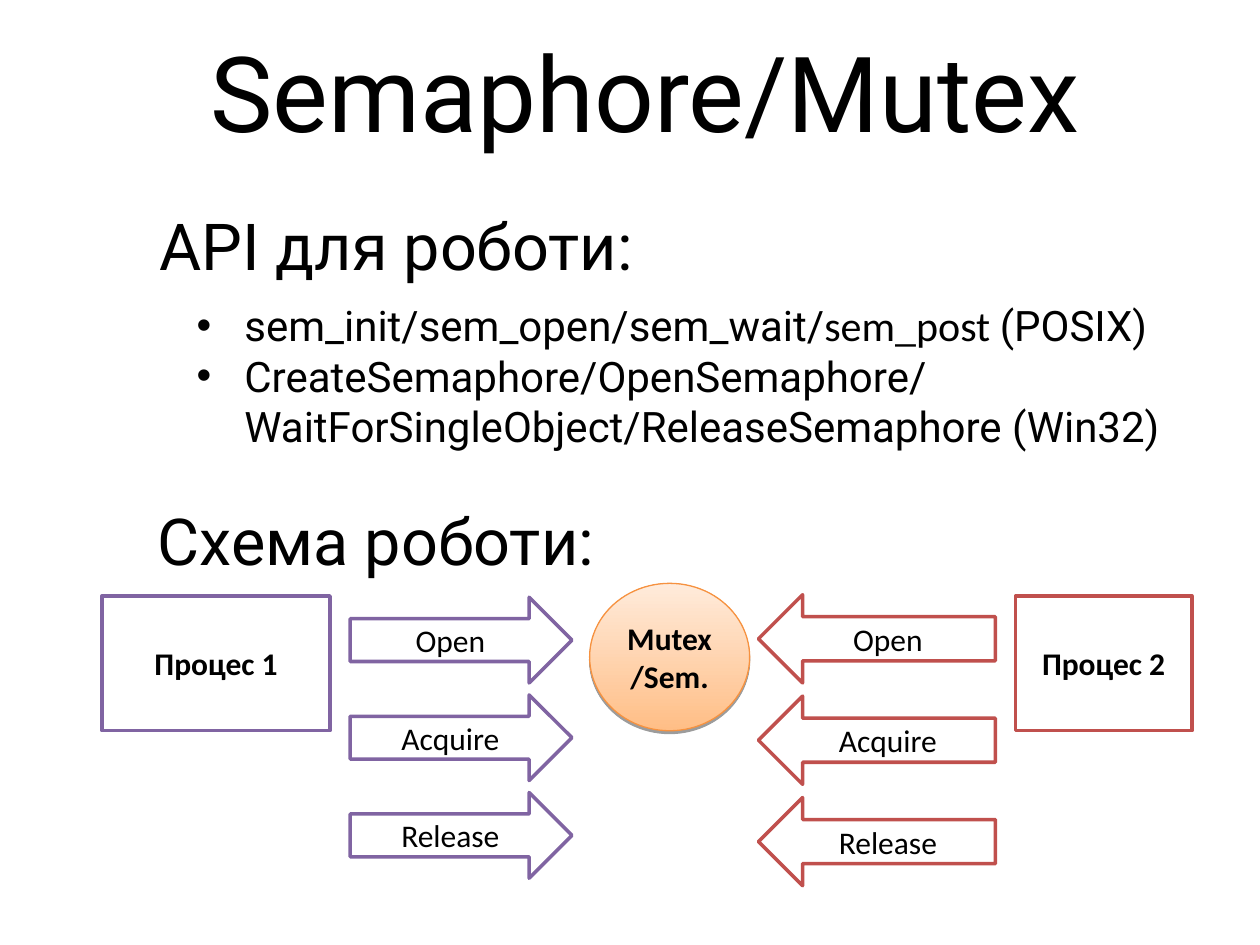
import dataclasses
import typing

import lxml.etree
import pptx
import pptx.dml.color
import pptx.enum.shapes
import pptx.enum.text
import pptx.oxml
import pptx.oxml.ns
import pptx.util

Pt = pptx.util.Pt
SHAPE = pptx.enum.shapes.MSO_SHAPE
ALIGN = pptx.enum.text.PP_ALIGN
ANCHOR = pptx.enum.text.MSO_ANCHOR
qn = pptx.oxml.ns.qn

# Slide grid: 100 columns by 75 rows
COLUMNS, ROWS = 100, 75
BLACK, WHITE = "000000", "FFFFFF"
PURPLE, RED, ORANGE = "8064A2", "C0504D", "F69240"


class Area(typing.NamedTuple):
    column: float
    row: float
    columns: float
    rows: float


@dataclasses.dataclass
class Process:
    caption: str
    color: str
    box: Area
    first_arrow: Area
    arrow_pitch: float
    points_left: bool = False


CALLS = ("Open", "Acquire", "Release")
PROCESSES = (
    Process("Процес 1", PURPLE, Area(8.1, 47.3, 18.1, 10.7),
            Area(27.8, 47.4, 17.6, 6.8), 7.75),
    Process("Процес 2", RED, Area(80.6, 47.3, 14, 10.7),
            Area(60.2, 47.2, 18.8, 7), 8.05, points_left=True),
)
HEADINGS = (
    ("API для роботи:", Area(9, 15.5, 44.9, 7.1)),
    ("Схема роботи:", Area(9, 38.9, 41.7, 7.1)),
)
API_ITEMS = (
    (("sem_init/sem_open/sem_wait/", "Roboto"), ("sem_post ", "Calibri"), ("(POSIX)", "Roboto")),
    (("CreateSemaphore/OpenSemaphore/\vWaitForSingleObject/ReleaseSemaphore (Win32)", "Roboto"),),
)

deck = pptx.Presentation()
deck.slide_width, deck.slide_height = pptx.util.Inches(10), pptx.util.Inches(7.5)
slide = deck.slides.add_slide(deck.slide_layouts[1])


def rgb(color: str) -> pptx.dml.color.RGBColor:
    return pptx.dml.color.RGBColor.from_string(color)


def place(area: Area) -> tuple:
    """Turn grid cells into left, top, width and height."""
    across, down = deck.slide_width / COLUMNS, deck.slide_height / ROWS
    return (round(area.column * across), round(area.row * down),
            round(area.columns * across), round(area.rows * down))


def move(holder, area: Area) -> None:
    holder.left, holder.top, holder.width, holder.height = place(area)


def style(paragraph, size: float, face: str, bold: bool = False) -> None:
    font = paragraph.font
    font.size, font.name, font.bold = Pt(size), face, bold
    font.color.rgb = rgb(BLACK)


def write(holder, text: str, size: float, face: str, bold: bool = False) -> None:
    """Fill a shape with one centred paragraph."""
    frame = holder.text_frame
    frame.word_wrap = True
    frame.auto_size = pptx.enum.text.MSO_AUTO_SIZE.NONE
    frame.vertical_anchor = ANCHOR.MIDDLE
    paragraph = frame.paragraphs[0]
    paragraph.text = text
    paragraph.alignment = ALIGN.CENTER
    style(paragraph, size, face, bold)


def write_heading(holder, text: str, size: float) -> None:
    write(holder, text, size, "Roboto")
    holder.text_frame.paragraphs[0].line_spacing = Pt(50)


def add_bullet(paragraph) -> None:
    properties = paragraph._p.get_or_add_pPr()
    indent = pptx.util.Inches(0.38)
    properties.set("marL", str(indent))
    properties.set("indent", str(-indent))
    color = lxml.etree.SubElement(properties, qn("a:buClr"))
    lxml.etree.SubElement(color, qn("a:srgbClr"), val=BLACK)
    lxml.etree.SubElement(properties, qn("a:buFont"), typeface="Arial")
    lxml.etree.SubElement(properties, qn("a:buChar"), char="•")


def add_outlined(kind, area: Area, color: str, text: str, bold: bool = False):
    shape = slide.shapes.add_shape(kind, *place(area))
    shape.shadow.inherit = False
    shape.fill.solid()
    shape.fill.fore_color.rgb = rgb(WHITE)
    shape.line.color.rgb = rgb(color)
    shape.line.width = Pt(2)
    write(shape, text, 18, "Calibri", bold)
    return shape


def add_process(process: Process) -> None:
    add_outlined(SHAPE.RECTANGLE, process.box, process.color, process.caption, bold=True)
    for index, call in enumerate(CALLS):
        row = process.first_arrow.row + index * process.arrow_pitch
        arrow = add_outlined(SHAPE.RIGHT_ARROW, process.first_arrow._replace(row=row),
                             process.color, call)
        if process.points_left:
            arrow._element.spPr.find(qn("a:xfrm")).set("flipH", "1")


def add_mutex(area: Area) -> None:
    mutex = add_outlined(SHAPE.OVAL, area, ORANGE, "Mutex/Sem.", bold=True)
    mutex.line.width = Pt(0.75)
    mutex.fill.gradient()
    mutex.fill.gradient_angle = 90
    for stop, color in zip(mutex.fill.gradient_stops, ("FFBE86", "FFEBDB")):
        stop.color.rgb = rgb(color)
    effects = mutex._element.spPr.find(qn("a:effectLst"))
    shadow = lxml.etree.SubElement(effects, qn("a:outerShdw"), blurRad="0",
                                   dist=str(Pt(1.6)), dir="5400000", rotWithShape="0")
    tone = lxml.etree.SubElement(shadow, qn("a:srgbClr"), val=BLACK)
    lxml.etree.SubElement(tone, qn("a:alpha"), val="38000")


# Title and section headings
title = slide.shapes.title
move(title, Area(11.4, 2.8, 79.6, 11.8))
write_heading(title, "Semaphore/Mutex", 60)
for text, area in HEADINGS:
    write_heading(slide.shapes.add_textbox(*place(area)), text, 37)

# API list
api_list = slide.placeholders[1]
move(api_list, Area(14.6, 23.3, 82.7, 14.4))
api_list.text_frame.auto_size = pptx.enum.text.MSO_AUTO_SIZE.NONE
for index, parts in enumerate(API_ITEMS):
    item = api_list.text_frame.paragraphs[0] if index == 0 else api_list.text_frame.add_paragraph()
    item.text = "" if len(parts) > 1 else parts[0][0]
    item.space_before = Pt(0)
    add_bullet(item)
    style(item, 24, "Roboto")
    if len(parts) > 1:
        for words, face in parts:
            run = item.add_run()
            run.text, run.font.name = words, face

# Scheme of two processes around the mutex
for process in PROCESSES:
    add_process(process)
add_mutex(Area(46.8, 46.3, 12.7, 11.7))

deck.save("out.pptx")
